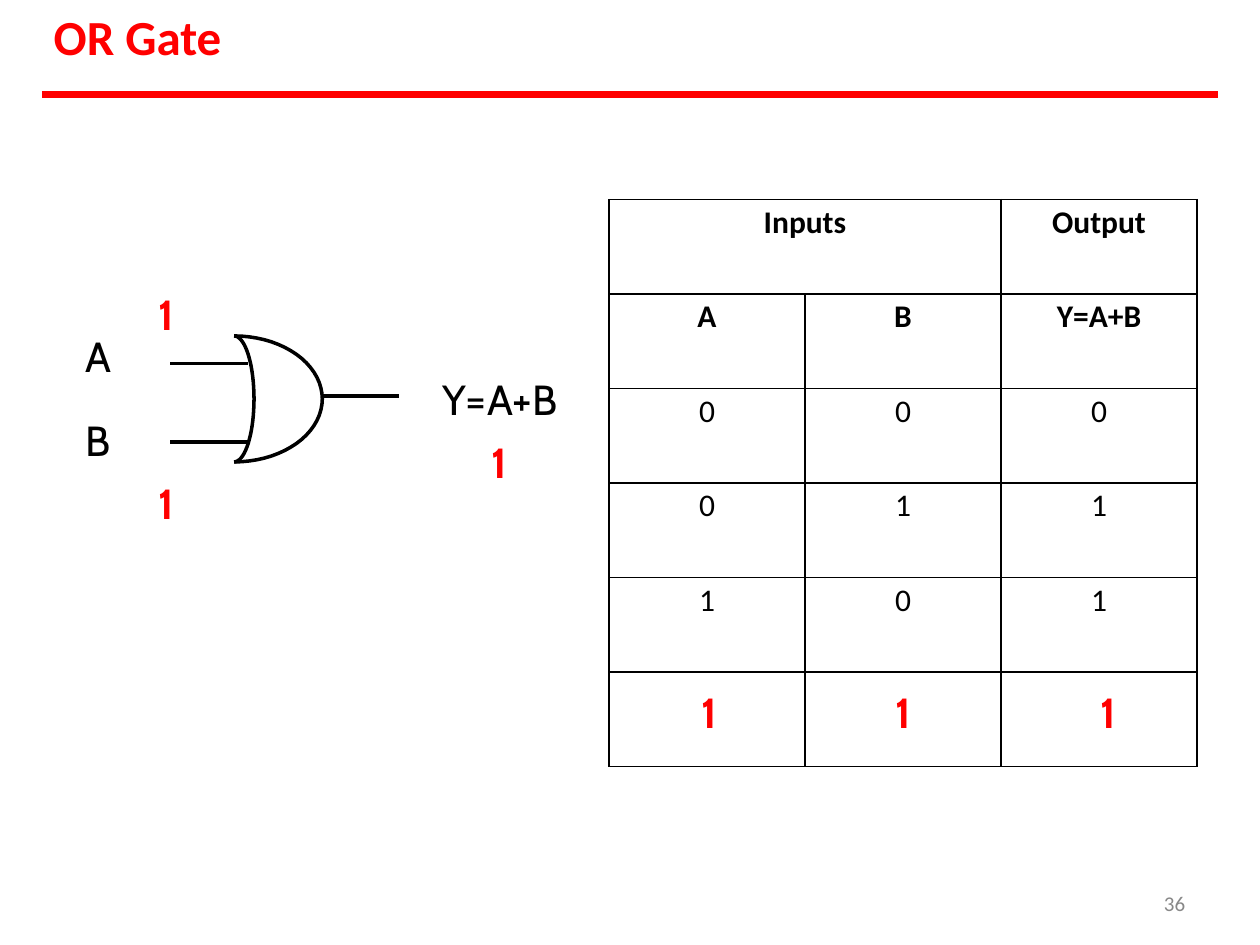
"""Build the OR gate slide: title, gate symbol and truth table."""
from math import cos, pi, sin

from lxml import etree
from pptx import Presentation
from pptx.dml.color import RGBColor
from pptx.enum.shapes import MSO_CONNECTOR
from pptx.enum.text import PP_ALIGN
from pptx.oxml.ns import qn
from pptx.util import Inches, Pt

LEFT, CENTER = PP_ALIGN.LEFT, PP_ALIGN.CENTER
STRAIGHT = MSO_CONNECTOR.STRAIGHT

THEME = {
    "red": "FF0000", "black": "000000", "grey": "888888",
    "body": "Calibri", "label": "Cabin",
    "title": 28, "big": 24, "cell": 18, "small": 12,
    "rule": 4, "wire": 2, "border": 1,
}
COLS, ROWS = 120, 90

TRUTH = [
    ("Inputs", "", "Output"),
    ("A", "B", "Y=A+B"),
    ("0", "0", "0"),
    ("0", "1", "1"),
    ("1", "0", "1"),
    ("1", "1", "1"),
]
HEADER_ROWS = 2
TABLE = (58, 19, 56, 54)
RESULT_INDENTS = (0.03, 0, 0.14)

RED_BOLD = {"color": "red", "bold": True}
BOXES = [
    ((5, 0.5, 16.5, 6), 0.01, LEFT,
     [("OR Gate", {"size": "title", "font": "body", **RED_BOLD})]),
    ((8, 31.4, 2.8, 13.2), 0.01, LEFT, [("A", {}), ("B", {"before": 19.2})]),
    ((15, 27.4, 2.9, 5.2), 0.01, LEFT, [("1", RED_BOLD)]),
    ((15, 45.4, 2.9, 5.2), 0.01, LEFT, [("1", RED_BOLD)]),
    ((41, 34.1, 13.2, 12.5), 0.12, CENTER,
     [("Y=A+B", {}), ("1", {"before": 7.5, **RED_BOLD})]),
    ((110.5, 84.8, 2.7, 2.3), 0, LEFT,
     [("36", {"size": "small", "font": "body", "color": "grey", "indent": 0.03})]),
]

GATE_X, GATE_Y, GATE_RY = 22.3, 38, 6
GATE_RADII = (1.9, 8.4)
ARC_STEPS = 36
WIRE = 7.4
WIRES = [(16.2, 34.6), (16.2, 42.1), (30.6, 37.7)]

prs = Presentation()
prs.slide_width, prs.slide_height = Inches(10), Inches(7.5)
s = prs.slides.add_slide(prs.slide_layouts[6])


def gx(col):
    return round(prs.slide_width * col / COLS)


def gy(row):
    return round(prs.slide_height * row / ROWS)


def rgb(name):
    return RGBColor.from_string(THEME[name])


def write(p, text, size="big", font="label", color="black", bold=False,
          align=LEFT, indent=0.01, before=0):
    p.alignment = align
    if indent:
        p._p.get_or_add_pPr().set("marL", str(Inches(indent)))
    if before:
        p.space_before = Pt(before)
    r = p.add_run()
    r.text = text
    r.font.size, r.font.name = Pt(THEME[size]), THEME[font]
    r.font.bold, r.font.color.rgb = bold, rgb(color)


def add_box(place, top, align, lines):
    x, y, w, h = place
    tf = s.shapes.add_textbox(gx(x), gy(y), gx(w), gy(h)).text_frame
    tf.word_wrap = True
    tf.margin_left = tf.margin_right = tf.margin_bottom = 0
    tf.margin_top = Inches(top)
    for i, (text, style) in enumerate(lines):
        p = tf.add_paragraph() if i else tf.paragraphs[0]
        base = {"align": align, "indent": 0.01 if align == LEFT else 0}
        write(p, text, **{**base, **style})


def add_line(x, y, length, color, width):
    sp = s.shapes.add_connector(STRAIGHT, gx(x), gy(y), gx(x + length), gy(y))
    sp.line.color.rgb, sp.line.width = rgb(color), Pt(THEME[width])
    etree.SubElement(sp._element.spPr, qn("a:effectLst"))


def add_arc(rx):
    angles = [pi * (i / ARC_STEPS - 0.5) for i in range(ARC_STEPS + 1)]
    points = [(gx(GATE_X + rx * cos(a)), gy(GATE_Y + GATE_RY * sin(a)))
              for a in angles]
    fb = s.shapes.build_freeform(*points[0])
    fb.add_line_segments(points[1:], close=False)
    sp = fb.convert_to_shape()
    sp.fill.background()
    sp.line.color.rgb, sp.line.width = rgb("black"), Pt(THEME["wire"])
    sp.shadow.inherit = False


def add_borders(cell):
    tcPr = cell._tc.get_or_add_tcPr()
    for i, side in enumerate("LRTB"):
        ln = etree.Element(qn(f"a:ln{side}"), w=str(Pt(THEME["border"])))
        fill = etree.SubElement(ln, qn("a:solidFill"))
        etree.SubElement(fill, qn("a:srgbClr"), val=THEME["black"])
        tcPr.insert(i, ln)


def add_truth_table():
    x, y, w, h = TABLE
    n, m = len(TRUTH), len(TRUTH[0])
    table = s.shapes.add_table(n, m, gx(x), gy(y), gx(w), gy(h)).table
    table.first_row = table.horz_banding = False
    table.cell(0, 0).merge(table.cell(0, 1))
    for i, row in enumerate(TRUTH):
        result = i == n - 1
        for j, text in enumerate(row):
            cell = table.cell(i, j)
            cell.fill.background()
            add_borders(cell)
            cell.margin_left = cell.margin_right = cell.margin_bottom = 0
            cell.margin_top = Inches(0.13 if result else 0.03)
            if not text:
                continue
            if result:
                style = {"indent": RESULT_INDENTS[j], **RED_BOLD}
            else:
                style = {"size": "cell", "font": "body", "indent": 0,
                         "bold": i < HEADER_ROWS}
            write(cell.text_frame.paragraphs[0], text, align=CENTER, **style)


add_line(4, 9, COLS - 8, "red", "rule")
add_truth_table()
for rx in GATE_RADII:
    add_arc(rx)
for x, y in WIRES:
    add_line(x, y, WIRE, "black", "wire")
for box in BOXES:
    add_box(*box)
prs.save("out.pptx")
